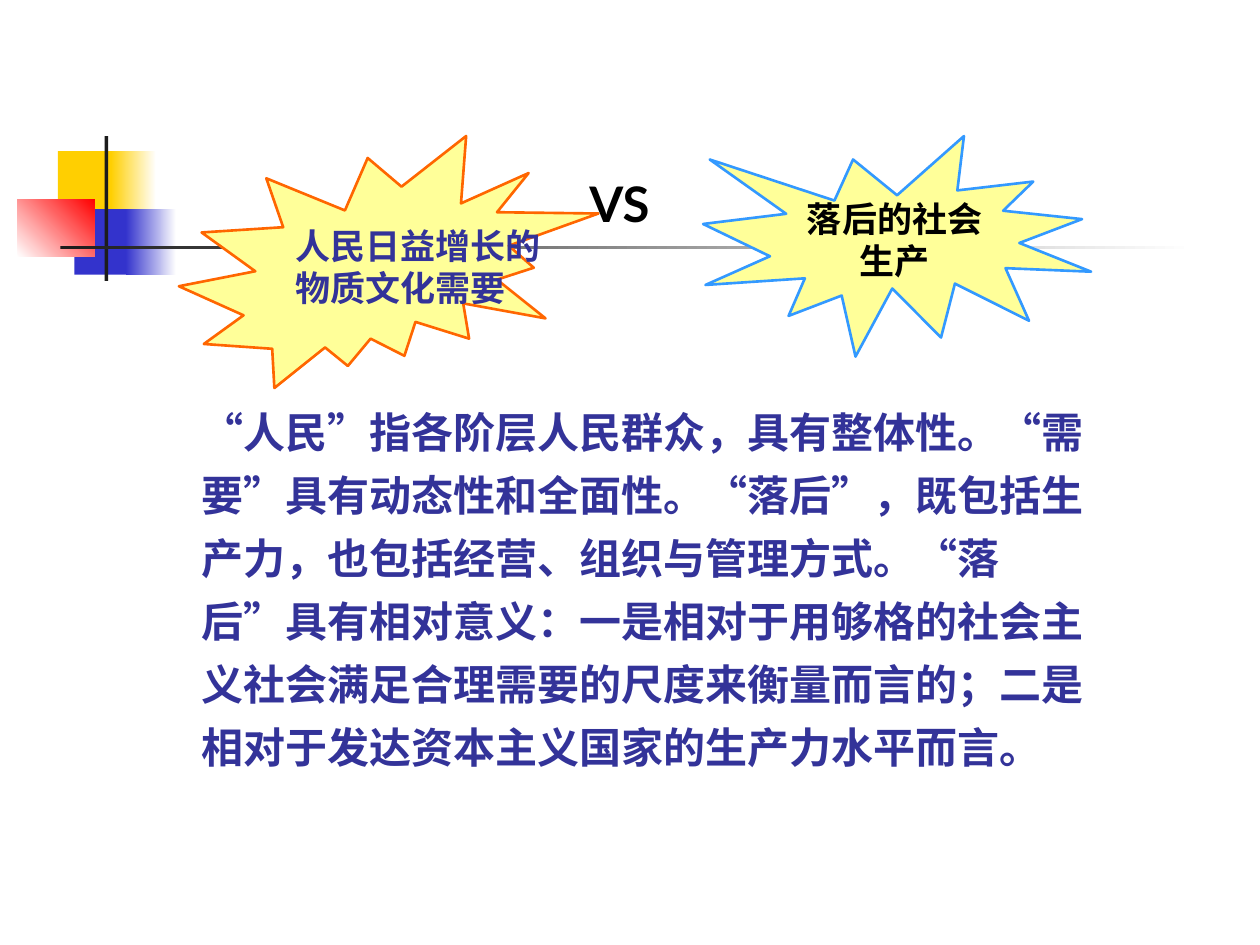
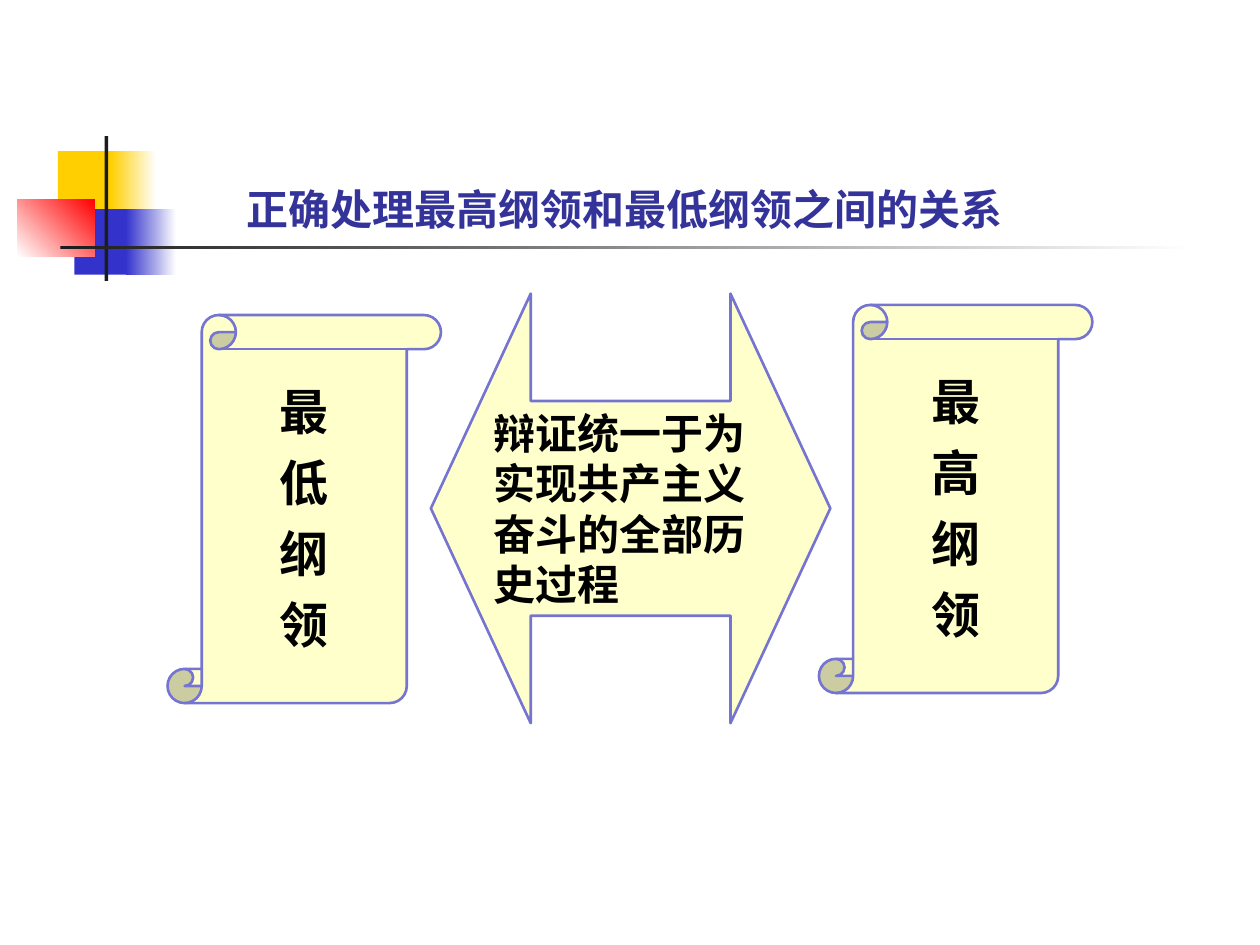
import pptx
import pptx.dml.color
import pptx.enum.shapes
import pptx.enum.text
import pptx.oxml.ns
import pptx.util
from lxml import etree

Inches = pptx.util.Inches
Pt = pptx.util.Pt
SHAPE = pptx.enum.shapes.MSO_SHAPE
ALIGN = pptx.enum.text.PP_ALIGN
ANCHOR = pptx.enum.text.MSO_ANCHOR

CJK, LATIN = "Noto Sans CJK SC", "Lato"
BLACK, WHITE, INDIGO = "000000", "FFFFFF", "333399"
YELLOW, BLUE, RED, DARK = "FFCF01", "3333CC", "FF0000", "1C1C1C"
BURST_FILL, CREAM, VIOLET = "FFFF99", "FFFFCC", "7575D1"


def rgb(value):
    return pptx.dml.color.RGBColor.from_string(value)


def box(left, top, width, height):
    return Inches(left), Inches(top), Inches(width), Inches(height)


def write(sp, lines, size, color, align=ALIGN.LEFT, font=CJK, spacing=None, before=0):
    """Fill a shape with one bold paragraph per line."""
    tf = sp.text_frame
    tf.word_wrap = True
    tf.text = "\n".join(lines)
    for i, p in enumerate(tf.paragraphs):
        p.alignment = align
        p.line_spacing = spacing
        if i:
            p.space_before = Pt(before)
        for r in p.runs:
            r.font.size = Pt(size)
            r.font.bold = True
            r.font.name = font
            r.font.color.rgb = rgb(color)
            rPr = r._r.get_or_add_rPr()
            rPr.set("lang", "zh-CN")
            ea = etree.SubElement(rPr, pptx.oxml.ns.qn("a:ea"))
            ea.set("typeface", font)
    return tf


def add_text(s, at, lines, size, color, **style):
    return write(s.shapes.add_textbox(*box(*at)), lines, size, color, **style)


def add_figure(s, kind, at, fill, line):
    sp = s.shapes.add_shape(kind, *box(*at))
    sp.shadow.inherit = False
    sp.fill.solid()
    sp.fill.fore_color.rgb = rgb(fill)
    sp.line.color.rgb = rgb(line)
    sp.line.width = Pt(1.5)
    return sp


def add_scroll(s, left, top, characters):
    sp = add_figure(s, SHAPE.VERTICAL_SCROLL, (left, top, 2.17, 3.08), CREAM, VIOLET)
    write(sp, characters, 28, BLACK, align=ALIGN.CENTER, before=7)


def add_title(s, text):
    title = s.shapes.title
    title.left, title.top, title.width, title.height = box(1.33, 1.33, 7.25, 0.59)
    tf = write(title, [text], 24, INDIGO, align=ALIGN.CENTER, spacing=1.2)
    tf.auto_size = pptx.enum.text.MSO_AUTO_SIZE.NONE
    tf.vertical_anchor = ANCHOR.TOP


def decorate_master(prs, s):
    """Draw the coloured blocks and rules on s, then move them to the master."""
    blocks = [
        ((0.46, 1.2, 0.48, 0.52), [YELLOW], 0),
        ((0.88, 1.2, 0.36, 0.52), [YELLOW, WHITE], 0),
        ((0.59, 1.66, 0.46, 0.52), [BLUE], 0),
        ((1, 1.66, 0.4, 0.52), [BLUE, WHITE], 0),
        ((0.14, 1.58, 0.61, 0.46), [WHITE, RED], 45),
        ((0.83, 1.08, 0.03, 1.15), [DARK], 0),
        ((0.48, 1.95, 9, 0.03), [DARK, WHITE], 0),
    ]
    for number, (at, colors, angle) in enumerate(blocks, 101):
        sp = s.shapes.add_shape(SHAPE.RECTANGLE, *box(*at))
        sp.shadow.inherit = False
        sp.line.fill.background()
        if len(colors) == 1:
            sp.fill.solid()
            sp.fill.fore_color.rgb = rgb(colors[0])
        else:
            sp.fill.gradient()
            sp.fill.gradient_angle = angle
            for stop, color in zip(sp.fill.gradient_stops, colors):
                stop.color.rgb = rgb(color)
        sp.element.nvSpPr.cNvPr.set("id", str(number))
        prs.slide_master.shapes.element.append(sp.element)


def build_contradiction(s):
    backward = add_figure(s, SHAPE.EXPLOSION1, (5.58, 1.08, 3.08, 1.75), BURST_FILL, "3399FF")
    tf = write(backward, ["落后的社会", "生产"], 20, BLACK, align=ALIGN.CENTER)
    tf.margin_left = tf.margin_right = 0
    # A negative indent shifts the first line slightly left of centre
    tf.paragraphs[0]._p.get_or_add_pPr().set("indent", str(Inches(-0.2)))

    needs = add_figure(s, SHAPE.EXPLOSION2, (1.42, 1.08, 3.33, 2), BURST_FILL, "FF6600")
    tf = write(needs, ["人民日益增长的", "物质文化需要"], 20, INDIGO)
    tf.word_wrap = False

    explanation = (
        "“人民”指各阶层人民群众，具有整体性。“需要”具有动态性和全面性。"
        "“落后”，既包括生产力，也包括经营、组织与管理方式。"
        "“落后”具有相对意义：一是相对于用够格的社会主义社会满足合理需要的尺度来衡量而言的；"
        "二是相对于发达资本主义国家的生产力水平而言。"
    )
    add_text(s, (1.5, 3.08, 7.33, 3.13), [explanation], 24, INDIGO, spacing=1.25)
    add_text(s, (4.58, 1.33, 0.83, 0.57), ["VS"], 28, BLACK, font=LATIN)


def build_programmes(s):
    add_title(s, "正确处理最高纲领和最低纲领之间的关系")
    add_scroll(s, 6.5, 2.42, "最高纲领")
    add_scroll(s, 1.33, 2.5, "最低纲领")
    arrow = add_figure(s, SHAPE.LEFT_RIGHT_ARROW, (3.42, 2.33, 3.17, 3.41), CREAM, VIOLET)
    arrow.adjustments[1] = 0.25
    write(arrow, ["辩证统一于为实现共产主义奋斗的全部历史过程"], 24, BLACK)


def main():
    prs = pptx.Presentation()
    prs.slide_width, prs.slide_height = Inches(10), Inches(7.5)
    title_only, blank = prs.slide_layouts[5], prs.slide_layouts[6]
    contradiction = prs.slides.add_slide(blank)
    decorate_master(prs, contradiction)
    build_contradiction(contradiction)
    build_programmes(prs.slides.add_slide(title_only))
    prs.save("out.pptx")


if __name__ == "__main__":
    main()
